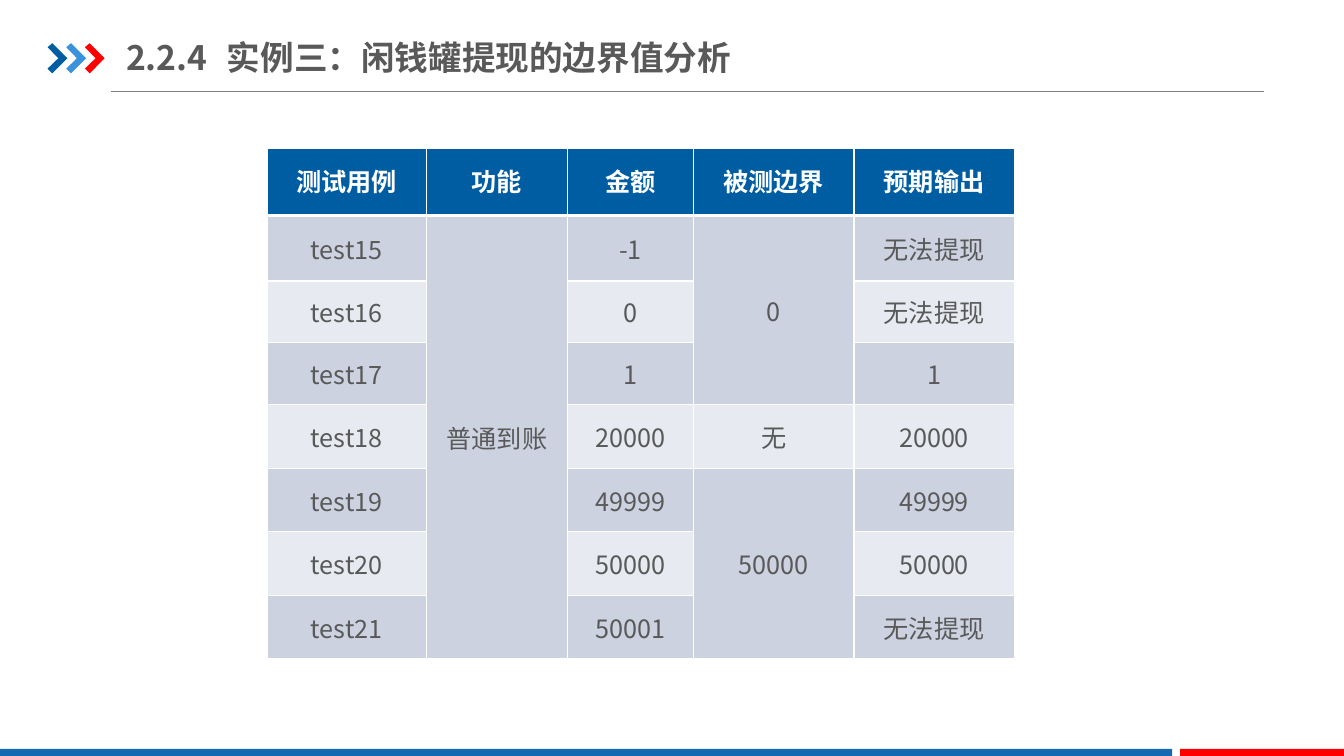
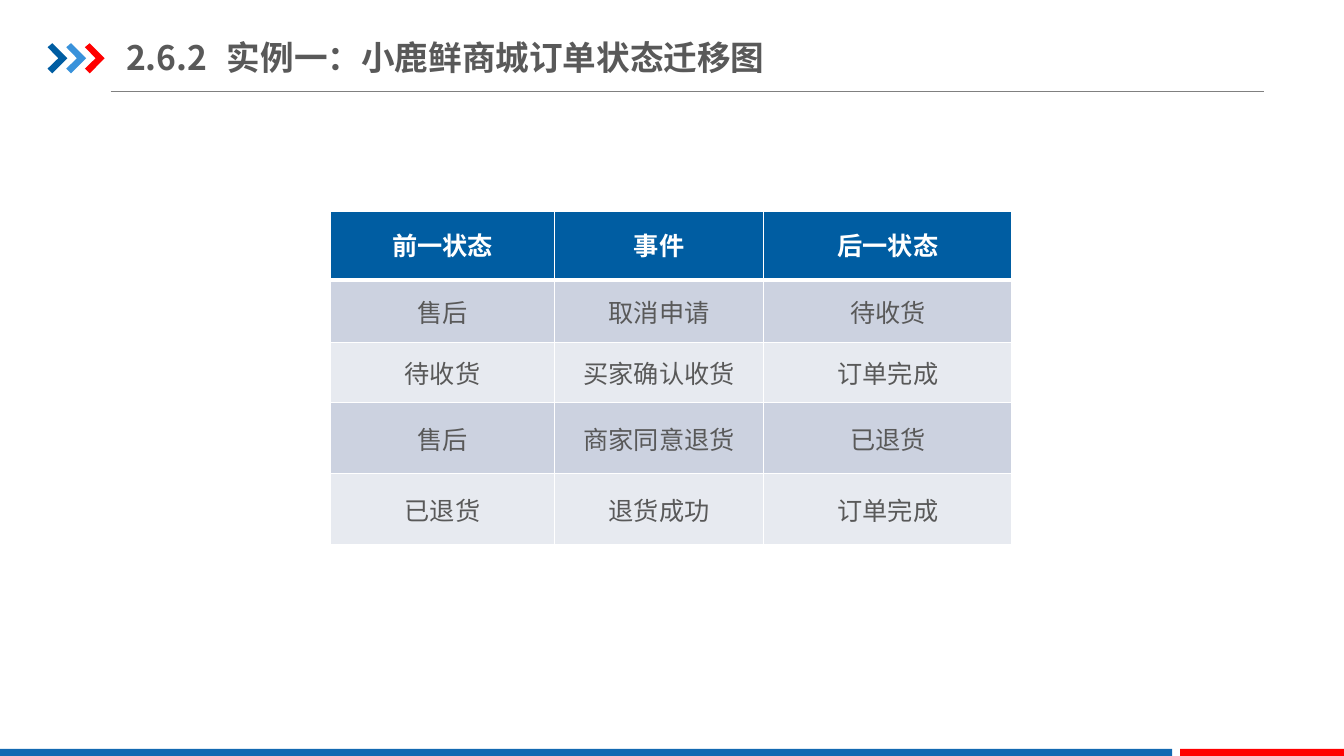
from dataclasses import dataclass
from itertools import product

from lxml.etree import SubElement as Sub
from pptx import Presentation as Deck
from pptx.dml.color import RGBColor as Rgb
from pptx.enum.shapes import MSO_CONNECTOR as Link, MSO_SHAPE as Kind
from pptx.enum.text import MSO_ANCHOR as Anchor, PP_ALIGN as Align
from pptx.oxml.ns import qn
from pptx.util import Cm, Pt


@dataclass(frozen=True)
class Theme:
    face: str = "Noto Sans CJK SC"
    ink: str = "595959"
    white: str = "FFFFFF"
    navy: str = "005DA2"
    sky: str = "3992DB"
    red: str = "FF0000"
    band: str = "1369B2"
    rule: str = "808080"
    odd: str = "CCD2E0"
    even: str = "E7EAF0"
    head: int = 24
    body: int = 18
    thin: float = 1
    thick: float = 3


T = Theme()

CASES = [
    ["测试用例", "功能", "金额", "被测边界", "预期输出"],
    ["test15", "普通到账", "-1", "0", "无法提现"],
    ["test16", None, "0", None, "无法提现"],
    ["test17", None, "1", None, "1"],
    ["test18", None, "20000", "无", "20000"],
    ["test19", None, "49999", "50000", "49999"],
    ["test20", None, "50000", None, "50000"],
    ["test21", None, "50001", None, "无法提现"],
]

STATES = [
    ["前一状态", "事件", "后一状态"],
    ["售后", "取消申请", "待收货"],
    ["待收货", "买家确认收货", "订单完成"],
    ["售后", "商家同意退货", "已退货"],
    ["已退货", "退货成功", "订单完成"],
]


def put(item, form):
    for name, value in form.items():
        setattr(item, name, value)


def paint(item, tone):
    item.fill.solid()
    item.fill.fore_color.rgb = Rgb.from_string(tone)


def plain(shape, tone):
    shape.shadow.inherit = False
    paint(shape, tone)
    shape.line.fill.background()


def write(para, text, size, tone, bold):
    run = para.add_run()
    run.text = text
    put(run.font, {"name": T.face, "size": Pt(size), "bold": bold})
    run.font.color.rgb = Rgb.from_string(tone)
    Sub(run.font._element, qn("a:ea"), typeface=T.face)


def edge(cell, sides):
    props = cell._tc.get_or_add_tcPr()
    for side, width in sides.items():
        line = Sub(props, qn(f"a:ln{side}"), w=str(Pt(width)))
        fill = Sub(line, qn("a:solidFill"))
        Sub(fill, qn("a:srgbClr"), val=T.white)


def arrows(slide, left, top):
    group = slide.shapes.add_group_shape()
    dots = [(0, 0.1), (0.12, 0), (0.5, 0.38), (0.12, 0.76), (0, 0.64), (0.27, 0.38)]
    for step, tone in enumerate((T.navy, T.sky, T.red)):
        spots = [(Cm(left + step * 0.47 + x), Cm(top + y)) for x, y in dots]
        form = group.shapes.build_freeform(*spots[0])
        form.add_line_segments(spots[1:], close=True)
        plain(form.convert_to_shape(), tone)


def header(slide, left, top, wide, code, name):
    line = slide.shapes.add_connector(
        Link.STRAIGHT, Cm(left + 1.59), Cm(top + 1.57), Cm(left + 30.65), Cm(top + 1.57))
    line.line.color.rgb = Rgb.from_string(T.rule)
    line.line.width = Pt(0.75)
    Sub(line._element.spPr, qn("a:effectLst"))
    arrows(slide, left, top + 0.35)
    box = slide.shapes.add_textbox(Cm(left + 1.98), Cm(top), Cm(wide), Cm(1.4))
    put(box.text_frame, {
        "word_wrap": True, "vertical_anchor": Anchor.MIDDLE,
        "margin_left": 0, "margin_right": 0,
        "margin_top": Cm(0.18), "margin_bottom": Cm(0.18)})
    write(box.text_frame.paragraphs[0], f"{code}\t{name}", T.head, T.ink, True)


def footer(slide, top, high):
    for left, wide, tone in ((0, 29.54, T.band), (29.74, 4.13, T.red)):
        bar = slide.shapes.add_shape(Kind.RECTANGLE, Cm(left), Cm(top), Cm(wide), Cm(high))
        plain(bar, tone)


def grid(slide, left, top, cols, rows, data):
    frame = slide.shapes.add_table(
        len(rows), len(cols), Cm(left), Cm(top), Cm(sum(cols)), Cm(sum(rows)))
    table = frame.table
    put(table, {"first_row": False, "horz_banding": False})
    for col, wide in zip(table.columns, cols):
        col.width = Cm(wide)
    for row, high in zip(table.rows, rows):
        row.height = Cm(high)
    for r, c in product(range(len(rows)), range(len(cols))):
        cell, text, first = table.cell(r, c), data[r][c], r == 0
        edge(cell, {"L": T.thin, "R": T.thin,
                    "T": T.thick if r == 1 else T.thin,
                    "B": T.thick if first else T.thin})
        paint(cell, T.navy if first else T.odd if r % 2 else T.even)
        cell.vertical_anchor = Anchor.MIDDLE
        if text is None:
            continue
        para = cell.text_frame.paragraphs[0]
        put(para, {"alignment": Align.CENTER, "line_spacing": 0.9 if first else 1.0})
        write(para, text, T.body, T.white if first else T.ink, first)
        last = r
        while last + 1 < len(rows) and data[last + 1][c] is None:
            last += 1
        if last > r:
            cell.merge(table.cell(last, c))


def page(deck, code, name, wide, **spec_grid):
    slide = deck.slides.add_slide(deck.slide_layouts[6])
    header(slide, 1.2, 0.74, wide, code, name)
    footer(slide, 18.87, 0.23)
    grid(slide, **spec_grid)


def main():
    deck = Deck()
    put(deck, {"slide_width": Cm(33.87), "slide_height": Cm(19.05)})
    page(deck, "2.2.4", "实例三：闲钱罐提现的边界值分析", 17.9,
         left=6.73, top=3.73, cols=[4.01, 3.56, 3.18, 4.04, 4.04],
         rows=[1.7, 1.65, 1.55, 1.57] + [1.6] * 4, data=CASES)
    page(deck, "2.6.2", "实例一：小鹿鲜商城订单状态迁移图", 16.66,
         left=8.33, top=5.33, cols=[5.64, 5.28, 6.25],
         rows=[1.73, 1.57, 1.52, 1.78, 1.8], data=STATES)
    deck.save("out.pptx")


if __name__ == "__main__":
    main()
